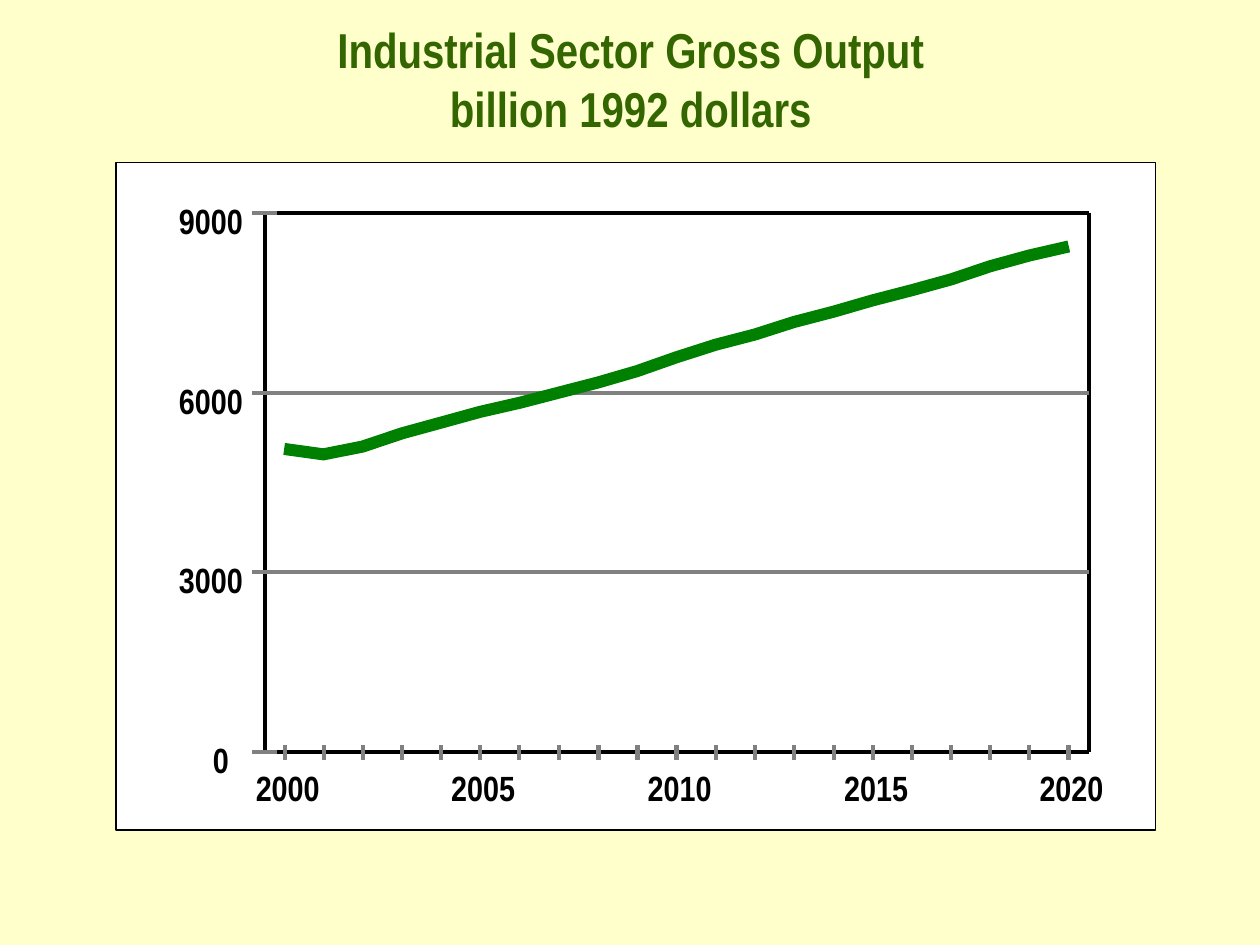
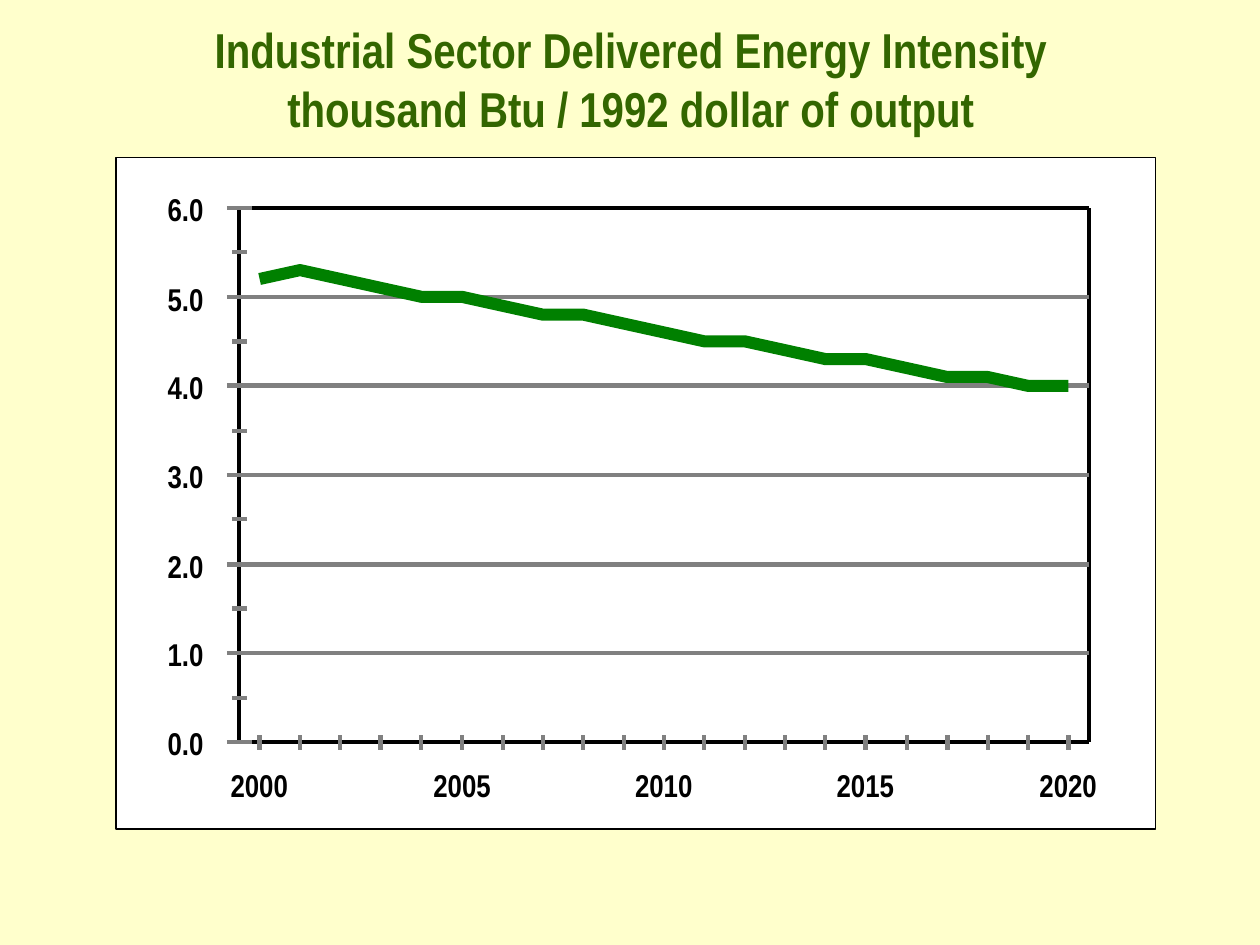
from dataclasses import dataclass

from lxml.etree import SubElement, fromstring
from pptx import Presentation
from pptx.chart.chart import Chart
from pptx.chart.data import CategoryChartData
from pptx.dml.color import RGBColor
from pptx.enum.chart import XL_CHART_TYPE, XL_MARKER_STYLE
from pptx.enum.shapes import MSO_CONNECTOR, MSO_SHAPE
from pptx.enum.text import MSO_ANCHOR, MSO_AUTO_SIZE, PP_ALIGN
from pptx.oxml.ns import qn
from pptx.presentation import Presentation as Deck
from pptx.slide import Slide
from pptx.text.text import TextFrame
from pptx.util import Emu, Pt

CREAM = RGBColor(0xFF, 0xFF, 0xCC)
WHITE = RGBColor(0xFF, 0xFF, 0xFF)
BLACK = RGBColor(0x00, 0x00, 0x00)
GRAY = RGBColor(0x80, 0x80, 0x80)
TREND_GREEN = RGBColor(0x00, 0x80, 0x00)
TITLE_GREEN = RGBColor(0x33, 0x66, 0x00)

FONT = "Arial Narrow"
RULE_WIDTH = Pt(2.38)
TREND_WIDTH = Pt(6.89)
EMU_PER_PX = 9144
YEARS = range(2000, 2021)
LABELLED_YEAR_STEP = 5
MAJOR_TICK, MINOR_TICK = 10, 6
YEAR_LABEL_TOP, YEAR_LABEL_SHIFT = 608, 23
DIGIT_WIDTH = 9
TITLE_ONLY = 5

NAMESPACES = (
    'xmlns:c="http://schemas.openxmlformats.org/drawingml/2006/chart" '
    'xmlns:a="http://schemas.openxmlformats.org/drawingml/2006/main"'
)


def px(length: int) -> Emu:
    return Emu(length * EMU_PER_PX)


@dataclass(frozen=True)
class Box:
    left: int
    top: int
    width: int
    height: int

    @property
    def right(self) -> int:
        return self.left + self.width

    @property
    def bottom(self) -> int:
        return self.top + self.height

    def emu(self) -> tuple[Emu, Emu, Emu, Emu]:
        return px(self.left), px(self.top), px(self.width), px(self.height)


@dataclass(frozen=True)
class Trend:
    title: str
    measure: str
    panel: Box
    plot: Box
    label_size: int
    label_height: int
    year_label_width: int
    amount_label_left: int
    amount_label_width: int
    amount_label_rise: int
    amounts: tuple[str, ...]
    has_half_ticks: bool
    values: tuple[float, ...]


TITLE_BOX = Box(42, 16, 917, 92)

TRENDS = (
    Trend(
        title="Industrial Sector Gross Output\vbillion 1992 dollars",
        measure="Gross Output",
        panel=Box(92, 129, 825, 530),
        plot=Box(210, 169, 654, 428),
        label_size=20,
        label_height=33,
        year_label_width=51,
        amount_label_left=142,
        amount_label_width=51,
        amount_label_rise=11,
        amounts=("0", "3000", "6000", "9000"),
        has_half_ticks=False,
        values=(
            5060, 4970, 5100, 5320, 5500, 5680, 5830,
            6000, 6170, 6360, 6590, 6800, 6970, 7180,
            7350, 7540, 7710, 7890, 8110, 8290, 8440,
        ),
    ),
    Trend(
        title="Industrial Sector Delivered Energy Intensity\v"
        "thousand Btu / 1992 dollar of output",
        measure="Delivered Energy Intensity",
        panel=Box(92, 125, 825, 533),
        plot=Box(190, 165, 674, 424),
        label_size=18,
        label_height=30,
        year_label_width=46,
        amount_label_left=133,
        amount_label_width=29,
        amount_label_rise=14,
        amounts=("0.0", "1.0", "2.0", "3.0", "4.0", "5.0", "6.0"),
        has_half_ticks=True,
        values=(
            5.2, 5.3, 5.2, 5.1, 5.0, 5.0, 4.9,
            4.8, 4.8, 4.7, 4.6, 4.5, 4.5, 4.4,
            4.3, 4.3, 4.2, 4.1, 4.1, 4.0, 4.0,
        ),
    ),
)


def format_text(frame: TextFrame, size: int, color: RGBColor) -> None:
    for run in frame.paragraphs[0].runs:
        run.font.name = FONT
        run.font.size = Pt(size)
        run.font.bold = True
        run.font.color.rgb = color


def add_title(slide: Slide, text: str) -> None:
    title = slide.shapes.title
    title.left, title.top, title.width, title.height = TITLE_BOX.emu()
    frame = title.text_frame
    frame.text = text
    frame.word_wrap = True
    frame.auto_size = MSO_AUTO_SIZE.NONE
    frame.vertical_anchor = MSO_ANCHOR.MIDDLE
    frame.paragraphs[0].alignment = PP_ALIGN.CENTER
    format_text(frame, 28, TITLE_GREEN)


def add_panel(slide: Slide, panel: Box) -> None:
    background = slide.shapes.add_shape(MSO_SHAPE.RECTANGLE, *panel.emu())
    background.shadow.inherit = False
    background.fill.solid()
    background.fill.fore_color.rgb = WHITE
    background.line.color.rgb = BLACK
    background.line.width = Pt(1)


def add_rule(
    slide: Slide, start: tuple[int, int], end: tuple[int, int], color: RGBColor
) -> None:
    rule = slide.shapes.add_connector(
        MSO_CONNECTOR.STRAIGHT, px(start[0]), px(start[1]), px(end[0]), px(end[1])
    )
    rule.line.color.rgb = color
    rule.line.width = RULE_WIDTH
    SubElement(rule.element.spPr, qn("a:effectLst"))


def add_label(slide: Slide, text: str, box: Box, size: int) -> None:
    frame = slide.shapes.add_textbox(*box.emu()).text_frame
    frame.margin_left = frame.margin_top = frame.margin_right = frame.margin_bottom = 0
    frame.word_wrap = False
    frame.auto_size = MSO_AUTO_SIZE.SHAPE_TO_FIT_TEXT
    frame.text = text
    format_text(frame, size, BLACK)


def add_plot_frame(slide: Slide, plot: Box) -> None:
    corners = (
        (plot.left, plot.top),
        (plot.left, plot.bottom),
        (plot.right, plot.bottom),
        (plot.right, plot.top),
    )
    for start, end in zip(corners, corners[1:] + corners[:1]):
        add_rule(slide, start, end, BLACK)


def add_amount_axis(slide: Slide, trend: Trend) -> None:
    plot = trend.plot
    last = len(trend.amounts) - 1
    step = plot.height / last
    longest = max(map(len, trend.amounts))
    for index, amount in enumerate(trend.amounts):
        y = round(plot.bottom - index * step)
        add_rule(slide, (plot.left - MAJOR_TICK, y), (plot.left + MAJOR_TICK, y), GRAY)
        if 0 < index < last:
            add_rule(slide, (plot.left, y), (plot.right, y), GRAY)
        if trend.has_half_ticks and index < last:
            half = round(plot.bottom - (index + 0.5) * step)
            add_rule(
                slide, (plot.left - MINOR_TICK, half), (plot.left + MINOR_TICK, half), GRAY
            )
        indent = DIGIT_WIDTH * (longest - len(amount))
        label = Box(
            trend.amount_label_left + indent,
            y - trend.amount_label_rise,
            trend.amount_label_width - indent,
            trend.label_height,
        )
        add_label(slide, amount, label, trend.label_size)


def add_year_axis(slide: Slide, trend: Trend) -> None:
    plot = trend.plot
    step = plot.width / len(YEARS)
    for index, year in enumerate(YEARS):
        x = round(plot.left + (index + 0.5) * step)
        add_rule(slide, (x, plot.bottom + MINOR_TICK), (x, plot.bottom - MINOR_TICK), GRAY)
        if index % LABELLED_YEAR_STEP == 0:
            label = Box(
                x - YEAR_LABEL_SHIFT,
                YEAR_LABEL_TOP,
                trend.year_label_width,
                trend.label_height,
            )
            add_label(slide, str(year), label, trend.label_size)


def clear_background(chart: Chart) -> None:
    clear = fromstring(
        f"<c:spPr {NAMESPACES}><a:noFill/><a:ln><a:noFill/></a:ln></c:spPr>"
    )
    chart.element.find(qn("c:chart")).addnext(clear)


def place_plot(chart: Chart, panel: Box, plot: Box) -> None:
    plot_area = chart.element.find(qn("c:chart")).find(qn("c:plotArea"))
    for automatic in plot_area.findall(qn("c:layout")):
        plot_area.remove(automatic)
    fractions = {
        "x": (plot.left - panel.left) / panel.width,
        "y": (plot.top - panel.top) / panel.height,
        "w": plot.width / panel.width,
        "h": plot.height / panel.height,
    }
    extents = "".join(f'<c:{key} val="{share:.4f}"/>' for key, share in fractions.items())
    layout = fromstring(
        f"<c:layout {NAMESPACES}><c:manualLayout>"
        '<c:layoutTarget val="inner"/><c:xMode val="edge"/><c:yMode val="edge"/>'
        f"{extents}</c:manualLayout></c:layout>"
    )
    plot_area.insert(0, layout)


def add_trend_chart(slide: Slide, trend: Trend) -> None:
    data = CategoryChartData()
    data.categories = [str(year) for year in YEARS]
    data.add_series(trend.measure, trend.values)
    chart = slide.shapes.add_chart(XL_CHART_TYPE.LINE, *trend.panel.emu(), data).chart
    chart.has_title = False
    chart.has_legend = False
    chart.font.name = FONT
    chart.font.size = Pt(trend.label_size)
    clear_background(chart)
    place_plot(chart, trend.panel, trend.plot)

    chart.value_axis.minimum_scale = 0
    chart.value_axis.maximum_scale = float(trend.amounts[-1])
    chart.value_axis.has_major_gridlines = False
    chart.value_axis.visible = False
    chart.category_axis.visible = False

    chart.plots[0].vary_by_categories = False
    curve = chart.plots[0].series[0]
    curve.smooth = False
    curve.marker.style = XL_MARKER_STYLE.NONE
    curve.format.line.color.rgb = TREND_GREEN
    curve.format.line.width = TREND_WIDTH


def add_trend_slide(deck: Deck, trend: Trend) -> None:
    slide = deck.slides.add_slide(deck.slide_layouts[TITLE_ONLY])
    add_title(slide, trend.title)
    add_panel(slide, trend.panel)
    add_plot_frame(slide, trend.plot)
    add_amount_axis(slide, trend)
    add_year_axis(slide, trend)
    add_trend_chart(slide, trend)


def main() -> None:
    deck = Presentation()
    deck.slide_width, deck.slide_height = px(1000), px(750)
    background = deck.slide_master.background.fill
    background.solid()
    background.fore_color.rgb = CREAM
    for trend in TRENDS:
        add_trend_slide(deck, trend)
    deck.save("out.pptx")


if __name__ == "__main__":
    main()
